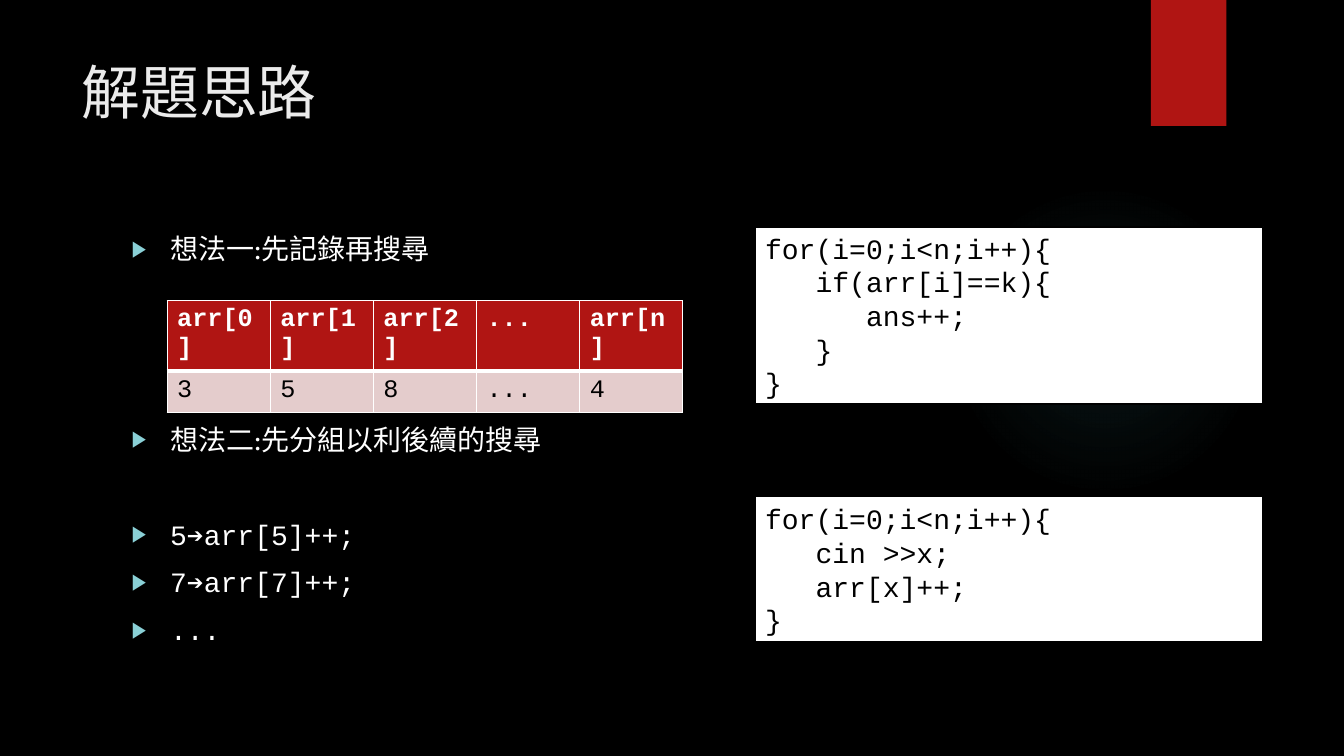
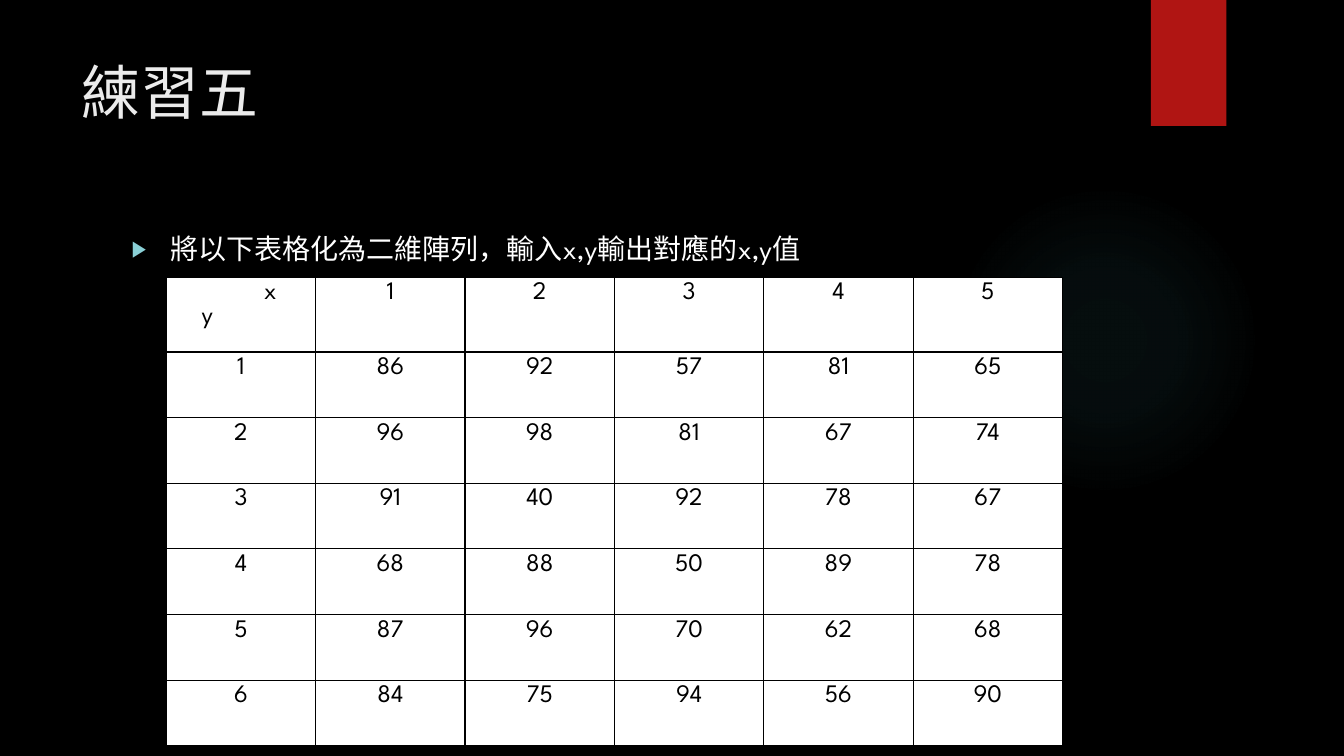
from dataclasses import dataclass
from typing import Optional

from lxml.etree import SubElement
from pptx import Presentation
from pptx.dml.color import RGBColor
from pptx.enum.shapes import MSO_SHAPE
from pptx.enum.text import MSO_ANCHOR, MSO_AUTO_SIZE, PP_ALIGN
from pptx.oxml import parse_xml
from pptx.oxml.ns import nsdecls, qn
from pptx.util import Inches, Pt


@dataclass(frozen=True)
class Theme:
    back: str = "000000"
    ink: str = "000000"
    paper: str = "FFFFFF"
    head: str = "EBEBEB"
    red: str = "B01513"
    pink: str = "E4CCCC"
    mark: str = "8AD0D6"
    glow: str = "50B9C1"
    sans: str = "League Spartan"
    mono: str = "Courier New"
    title: int = 42
    body: int = 20
    cell: int = 18


@dataclass(frozen=True)
class Box:
    """Place and size in columns and rows of a 160 by 90 grid."""
    col: float
    row: float
    wide: float
    high: float

    def emu(self) -> tuple:
        return (across(self.col), down(self.row),
                across(self.wide), down(self.high))


@dataclass(frozen=True)
class Item:
    text: str
    font: str
    gap: int = 10


@dataclass(frozen=True)
class Code:
    box: Box
    text: str


@dataclass(frozen=True)
class Look:
    """How one table cell is drawn."""
    fill: str
    ink: str
    font: str
    edge: str
    bold: bool = False
    base: int = 1  # width of the bottom border
    align: Optional[PP_ALIGN] = None


T = Theme()
WIDE, HIGH = Inches(13.33), Inches(7.5)
COLS, ROWS = 160, 90

GLOW = Box(113, 22, 37, 37)
BAND = Box(137, 0, 9, 15)
TITLE = Box(8.5, 6, 123.5, 18.4)
BODY = Box(14.5, 27, 117.4, 55)

IDEAS = [
    Item("想法一:先記錄再搜尋", T.sans),
    Item("想法二:先分組以利後續的搜尋", T.sans, 112),
    Item("5➔arr[5]++;", T.mono, 44),
    Item("7➔arr[7]++;", T.mono),
    Item("...", T.mono),
]
TASK = [Item("將以下表格化為二維陣列，輸入x,y輸出對應的x,y值", T.sans)]

ARRAY = [["arr[0]", "arr[1]", "arr[2]", "...", "arr[n]"],
         ["3", "5", "8", "...", "4"]]
SCORES = [[86, 92, 57, 81, 65],
          [96, 98, 81, 67, 74],
          [91, 40, 92, 78, 67],
          [68, 88, 50, 89, 78],
          [87, 96, 70, 62, 68],
          [84, 75, 94, 56, 90]]

SEARCH = Code(Box(89.9, 27, 60.5, 21.1), """for(i=0;i<n;i++){
   if(arr[i]==k){
      ans++;
   }
}""")
COUNT = Code(Box(89.9, 59, 60.5, 17.5), """for(i=0;i<n;i++){
   cin >>x;
   arr[x]++;
}""")


def across(n: float) -> int:
    return round(WIDE * n / COLS)


def down(n: float) -> int:
    return round(HIGH * n / ROWS)


def rgb(code: str) -> RGBColor:
    return RGBColor.from_string(code)


def style(para, font: str, size: int, ink: str, bold: bool = False) -> None:
    face = para.font
    face.name, face.size, face.bold = font, Pt(size), bold
    face.color.rgb = rgb(ink)


def block(slide, kind: MSO_SHAPE, box: Box, fill: str):
    shape = slide.shapes.add_shape(kind, *box.emu())
    shape.shadow.inherit = False
    shape.fill.solid()
    shape.fill.fore_color.rgb = rgb(fill)
    shape.line.fill.background()
    return shape


def adorn(slide, layout) -> None:
    """Put the glow and the red band on the shared layout."""
    glow = block(slide, MSO_SHAPE.OVAL, GLOW, T.glow)
    band = block(slide, MSO_SHAPE.RECTANGLE, BAND, T.red)
    stops = "".join(
        f'<a:gs pos="{at * 1000}"><a:srgbClr val="{T.glow}">'
        f'<a:alpha val="{alpha * 1000}"/></a:srgbClr></a:gs>'
        for at, alpha in ((0, 7), (36, 6), (69, 0)))
    grad = parse_xml(
        f'<a:gradFill {nsdecls("a")}><a:gsLst>{stops}</a:gsLst>'
        '<a:path path="circle"><a:fillToRect l="50000" t="50000" '
        'r="50000" b="50000"/></a:path></a:gradFill>')
    props = glow.element.spPr
    props.replace(props.find(qn("a:solidFill")), grad)
    for spot, shape in enumerate((glow, band), 2):
        layout.shapes.element.insert(spot, shape.element)


def title(slide, text: str) -> None:
    shape = slide.shapes.title
    shape.left, shape.top, shape.width, shape.height = TITLE.emu()
    frame = shape.text_frame
    frame.text = text
    frame.auto_size = MSO_AUTO_SIZE.NONE
    frame.vertical_anchor = MSO_ANCHOR.TOP
    para = frame.paragraphs[0]
    para.alignment = PP_ALIGN.LEFT
    style(para, T.sans, T.title, T.head)


def bullet(para) -> None:
    props = para._p.get_or_add_pPr()
    props.set("marL", str(Inches(0.38)))
    props.set("indent", str(-Inches(0.38)))
    tint = SubElement(props, qn("a:buClr"))
    SubElement(tint, qn("a:srgbClr"), val=T.mark)
    SubElement(props, qn("a:buSzPct"), val="80000")
    SubElement(props, qn("a:buFont"), typeface="Arial")
    SubElement(props, qn("a:buChar"), char="▶")


def body(slide, items: list[Item]) -> None:
    frame = slide.shapes.add_textbox(*BODY.emu()).text_frame
    frame.word_wrap = True
    frame.text = "\n".join(item.text for item in items)
    for n, (para, item) in enumerate(zip(frame.paragraphs, items)):
        bullet(para)
        if n:
            para.space_before = Pt(item.gap)
        style(para, item.font, T.body, T.paper)


def code(slide, part: Code) -> None:
    shape = block(slide, MSO_SHAPE.RECTANGLE, part.box, T.paper)
    shape.line.color.rgb = rgb(T.ink)
    shape.line.width = Pt(1.5)
    frame = shape.text_frame
    frame.word_wrap = True
    frame.vertical_anchor = MSO_ANCHOR.MIDDLE
    frame.text = part.text
    for para in frame.paragraphs:
        para.alignment = PP_ALIGN.LEFT
        style(para, T.mono, T.body, T.ink)


def paint(cell, text: str, look: Look) -> None:
    props = cell._tc.get_or_add_tcPr()
    for side in "LRTB":
        size = look.base if side == "B" else 1
        line = SubElement(props, qn(f"a:ln{side}"), w=str(Pt(size)))
        fill = SubElement(line, qn("a:solidFill"))
        SubElement(fill, qn("a:srgbClr"), val=look.edge)
    cell.fill.solid()
    cell.fill.fore_color.rgb = rgb(look.fill)
    cell.text = text
    for para in cell.text_frame.paragraphs:
        para.alignment = look.align
        style(para, look.font, T.cell, look.ink, look.bold)


def table(slide, box: Box, data: list, top: float, first: Look, rest: Look):
    """Draw a grid whose first row is `top` rows high, the others equal."""
    count, wide = len(data), len(data[0])
    grid = slide.shapes.add_table(count, wide, *box.emu()).table
    for col in grid.columns:
        col.width = across(box.wide / wide)
    for r, line in enumerate(data):
        grid.rows[r].height = down((box.high - top) / (count - 1) if r else top)
        for c, text in enumerate(line):
            paint(grid.cell(r, c), str(text), rest if r else first)
    return grid


def ideas(slide) -> None:
    title(slide, "解題思路")
    body(slide, IDEAS)
    table(slide, Box(19.9, 35.8, 61.4, 9.8), ARRAY, 4.9,
          Look(T.red, T.paper, T.mono, T.paper, bold=True, base=3),
          Look(T.pink, T.ink, T.mono, T.paper))
    for part in (SEARCH, COUNT):
        code(slide, part)


def task(slide) -> None:
    title(slide, "練習五")
    body(slide, TASK)
    heads = ["x\ny", *range(1, len(SCORES[0]) + 1)]
    data = [heads] + [[n, *line] for n, line in enumerate(SCORES, 1)]
    plain = Look(T.paper, T.ink, T.sans, T.ink, align=PP_ALIGN.CENTER)
    grid = table(slide, Box(19.8, 33, 106.7, 55.8), data, 8.9, plain, plain)
    # Axis names step apart in the corner cell
    for para, inset in zip(grid.cell(0, 0).text_frame.paragraphs, (0.87, 0.25)):
        para.alignment = PP_ALIGN.LEFT
        para._p.get_or_add_pPr().set("marL", str(Inches(inset)))


def main() -> None:
    deck = Presentation()
    deck.slide_width, deck.slide_height = WIDE, HIGH
    back = deck.slide_master.background.fill
    back.solid()
    back.fore_color.rgb = rgb(T.back)
    layout = deck.slide_layouts.get_by_name("Title Only")
    for n, draw in enumerate((ideas, task)):
        slide = deck.slides.add_slide(layout)
        if not n:
            adorn(slide, layout)
        draw(slide)
    deck.save("out.pptx")


if __name__ == "__main__":
    main()
